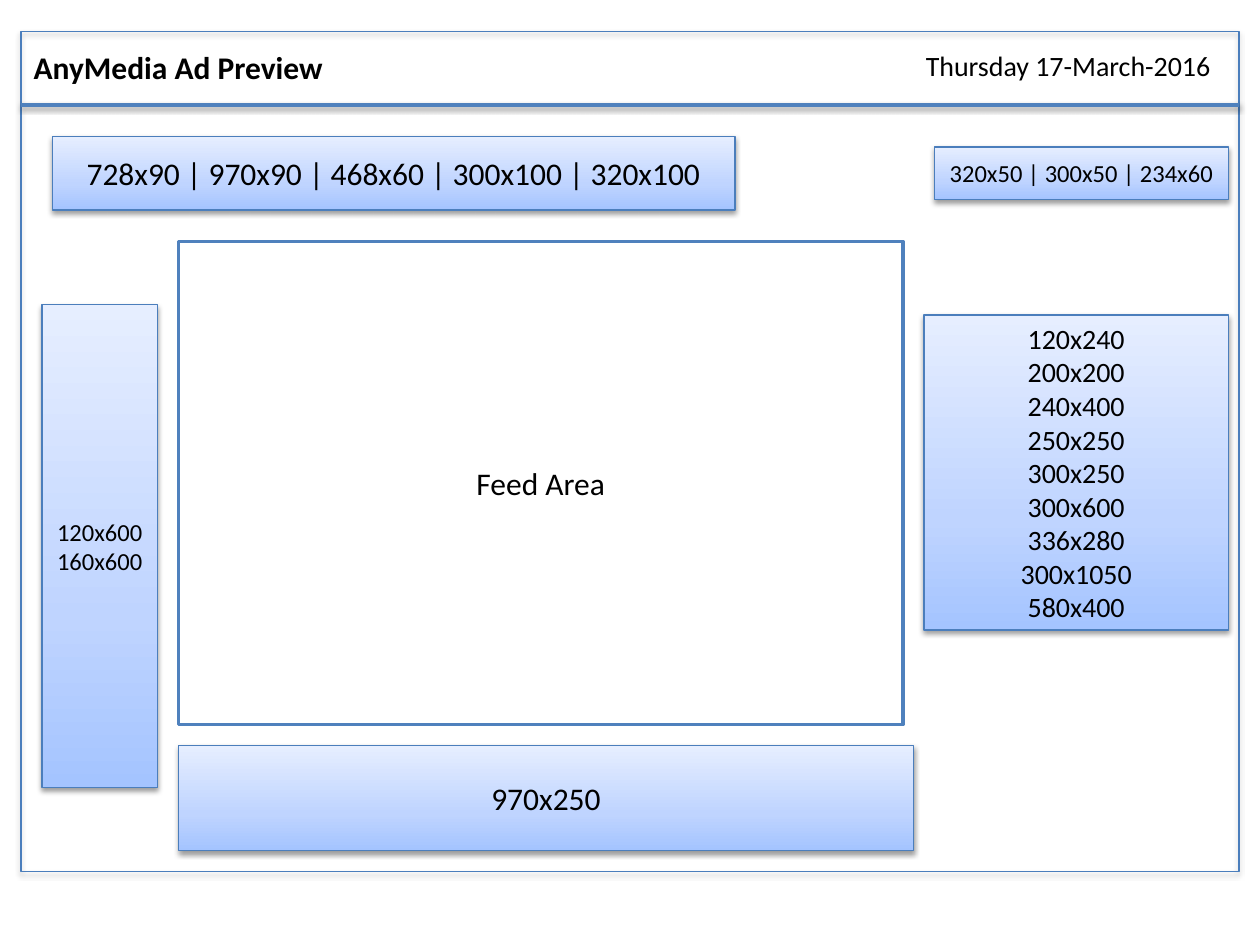
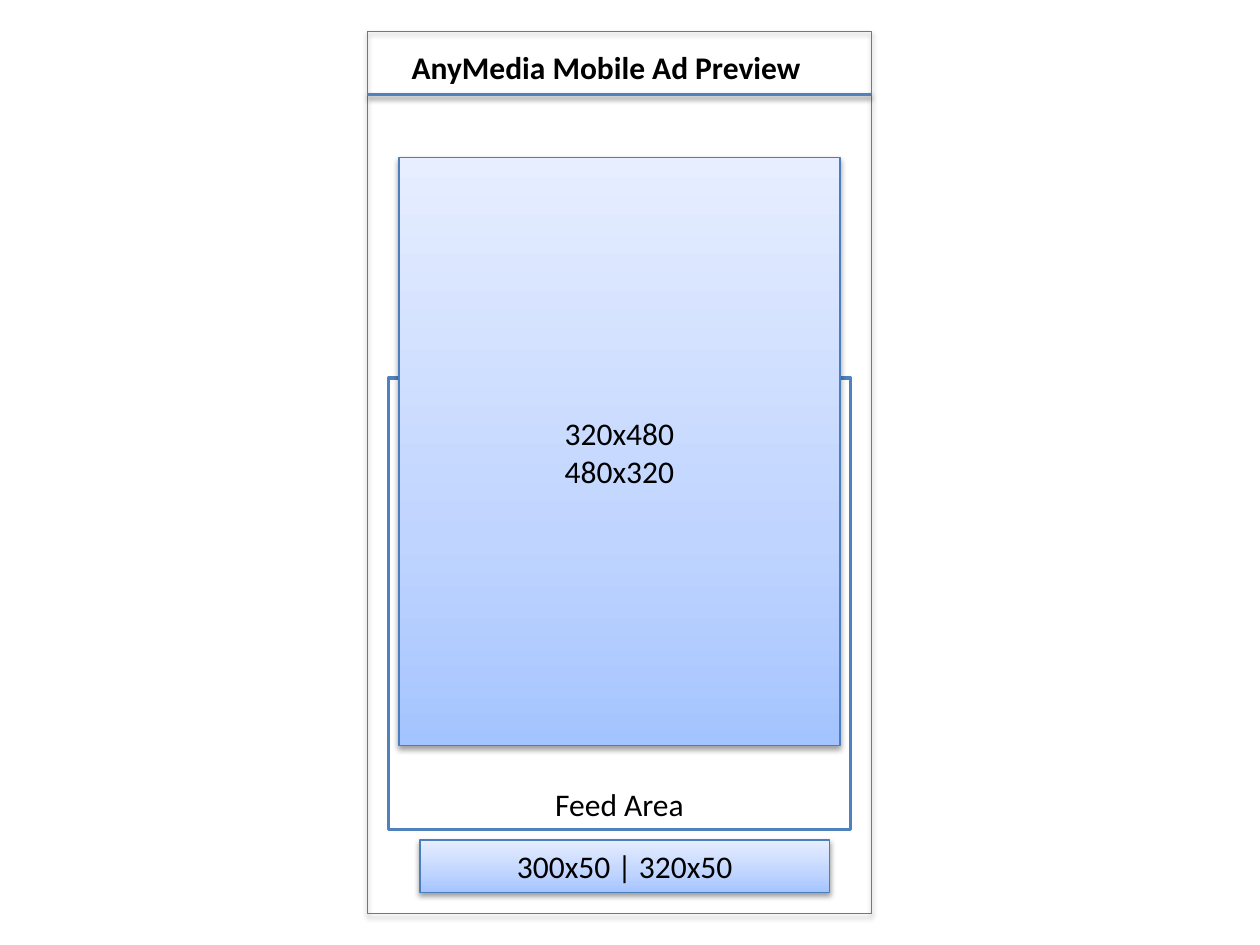
from copy import deepcopy
from dataclasses import dataclass

from lxml import etree
from pptx import Presentation
from pptx.dml.color import RGBColor
from pptx.enum.shapes import MSO_CONNECTOR, MSO_SHAPE
from pptx.enum.text import MSO_ANCHOR, MSO_AUTO_SIZE, PP_ALIGN
from pptx.oxml.ns import qn
from pptx.util import Pt

RECT = MSO_SHAPE.RECTANGLE
STRAIGHT = MSO_CONNECTOR.STRAIGHT
LEFT, CENTER = PP_ALIGN.LEFT, PP_ALIGN.CENTER
TOP, MIDDLE, BOTTOM = MSO_ANCHOR.TOP, MSO_ANCHOR.MIDDLE, MSO_ANCHOR.BOTTOM
FIXED = MSO_AUTO_SIZE.NONE


@dataclass(frozen=True)
class Theme:
    font: str = "Calibri"
    ink: str = "000000"
    paper: str = "FFFFFF"
    edge: str = "4B7EBC"
    accent: str = "4F81BD"
    fade: tuple = ((0, "A4C4FF"), (0.35, "BFD4FF"), (1, "E6EEFF"))
    large: int = 18
    medium: int = 16
    small: int = 14
    thin: float = 0.75
    thick: float = 2


THEME = Theme()


def color(code):
    return RGBColor.from_string(code)


def place(frame, box):
    left, top, wide, high = box
    return Pt(frame[0] + left), Pt(frame[1] + top), Pt(wide), Pt(high)


def stroke(item, code, width):
    item.line.color.rgb = color(code)
    item.line.width = Pt(width)


def shade(item, alpha=38, drop=1.6):
    effects = etree.SubElement(item._element.spPr, qn("a:effectLst"))
    outer = etree.SubElement(
        effects, qn("a:outerShdw"), blurRad=str(Pt(3.1)), dist=str(Pt(drop)),
        dir="5400000", rotWithShape="0")
    tint = etree.SubElement(outer, qn("a:srgbClr"), val=THEME.ink)
    etree.SubElement(tint, qn("a:alpha"), val=str(alpha * 1000))


def blend(shape):
    shape.fill.gradient()
    shape.fill.gradient_angle = 90
    stops = shape._element.spPr.find(".//" + qn("a:gsLst"))
    stops.append(deepcopy(stops[0]))
    for stop, (spot, code) in zip(shape.fill.gradient_stops, THEME.fade):
        stop.position = spot
        stop.color.rgb = color(code)


def write(shape, text, size, align=CENTER, anchor=MIDDLE, bold=False):
    body = shape.text_frame
    body.text = text
    body.word_wrap = True
    body.auto_size = FIXED
    body.vertical_anchor = anchor
    for para in body.paragraphs:
        para.alignment = align
        para.font.name = THEME.font
        para.font.size = Pt(size)
        para.font.bold = bold
        para.font.color.rgb = color(THEME.ink)


def add_page(deck, frame, head, title, box):
    slide = deck.slides.add_slide(deck.slide_layouts[5])
    left, top, wide, high = frame
    border = slide.shapes.add_shape(RECT, *map(Pt, frame))
    border.fill.background()
    stroke(border, THEME.edge, THEME.thin)
    shade(border, 35, 1.8)
    rule = slide.shapes.add_connector(
        STRAIGHT, Pt(left), Pt(top + head), Pt(left + wide), Pt(top + head))
    stroke(rule, THEME.accent, THEME.thick)
    shade(rule)
    name = slide.shapes.title
    name.left, name.top, name.width, name.height = place(frame, box)
    write(name, title, THEME.large, LEFT, TOP, True)
    return slide


def add_slot(slide, frame, box, text, size=THEME.large):
    slot = slide.shapes.add_shape(RECT, *place(frame, box))
    blend(slot)
    stroke(slot, THEME.edge, THEME.thin)
    shade(slot)
    write(slot, text, size)


def add_feed(slide, frame, box, anchor=MIDDLE):
    feed = slide.shapes.add_shape(RECT, *place(frame, box))
    feed.shadow.inherit = False
    feed.fill.solid()
    feed.fill.fore_color.rgb = color(THEME.paper)
    stroke(feed, THEME.accent, THEME.thick)
    write(feed, "Feed Area", THEME.large, anchor=anchor)


def add_date(slide, frame, box, text):
    date = slide.shapes.add_textbox(*place(frame, box))
    write(date, text, THEME.medium, LEFT, TOP)


def build_desktop(deck):
    frame = (12, 18, 696, 480)
    slide = add_page(deck, frame, 42, "AnyMedia Ad Preview", (0, 6, 192, 29))
    add_date(slide, frame, (510, 6, 186, 27), "Thursday 17-March-2016")
    add_slot(slide, frame, (90, 408, 420, 60), "970x250")
    add_feed(slide, frame, (90, 120, 414, 276))
    sizes = ("120x240", "200x200", "240x400", "250x250", "300x250",
             "300x600", "336x280", "300x1050", "580x400")
    add_slot(slide, frame, (516, 162, 174, 180), "\n".join(sizes), THEME.medium)
    add_slot(slide, frame, (18, 60, 390, 42),
             "728x90 | 970x90 | 468x60 | 300x100 | 320x100")
    add_slot(slide, frame, (12, 156, 66, 276), "120x600\n160x600", THEME.small)
    add_slot(slide, frame, (522, 66, 168, 30),
             "320x50 | 300x50 | 234x60", THEME.small)


def build_mobile(deck):
    frame = (210, 18, 288, 504)
    slide = add_page(deck, frame, 36, "AnyMedia Mobile Ad Preview",
                     (18, 6, 252, 29))
    add_slot(slide, frame, (30, 462, 234, 30), "300x50 | 320x50")
    add_feed(slide, frame, (12, 198, 264, 258), BOTTOM)
    add_slot(slide, frame, (18, 72, 252, 336), "320x480\n480x320")


def main():
    deck = Presentation()
    deck.slide_width, deck.slide_height = Pt(720), Pt(540)
    build_desktop(deck)
    build_mobile(deck)
    deck.save("out.pptx")


if __name__ == "__main__":
    main()
